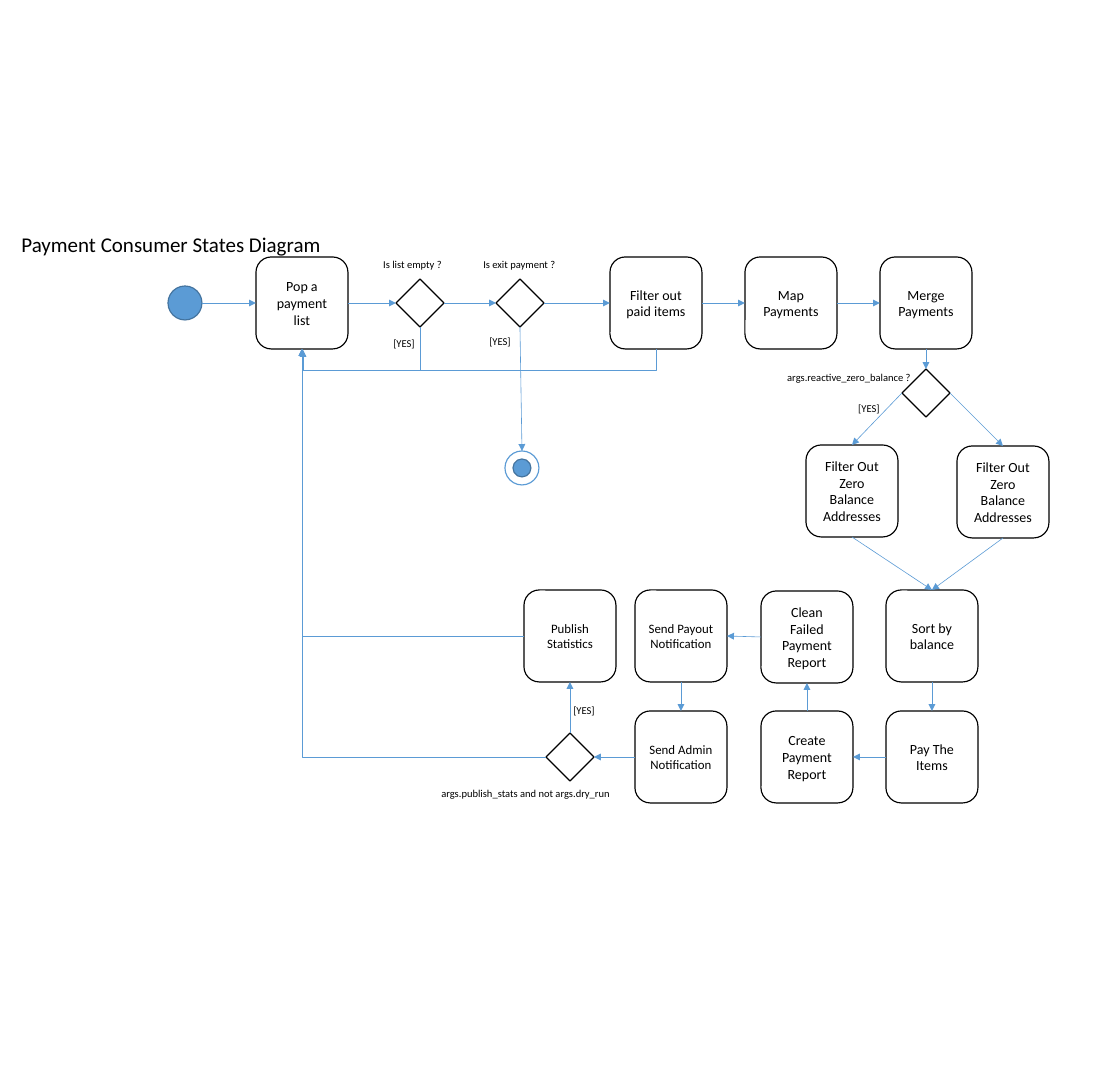
from lxml.etree import SubElement
from pptx import Presentation
from pptx.dml.color import RGBColor
from pptx.enum.shapes import MSO_CONNECTOR, MSO_SHAPE
from pptx.enum.text import MSO_ANCHOR, MSO_AUTO_SIZE, PP_ALIGN
from pptx.oxml.ns import qn
from pptx.util import Emu, Pt

SCALE = 914400 / 84
BOX, DIAMOND, CIRCLE, DOT = 92, 48, 34, 18
TOP, LEFT, BOTTOM, RIGHT = range(4)
BLUE, NAVY, BLACK, WHITE = "5B9BD5", "43739E", "000000", "FFFFFF"

STATES = {
    "pop": (256, 257, "Pop a payment list", 12),
    "paid": (610, 257, "Filter out paid items", 12),
    "map": (745, 257, "Map Payments", 12),
    "merge": (880, 257, "Merge Payments", 12),
    "zero_right": (957, 446, "Filter Out Zero Balance Addresses", 12),
    "zero_left": (806, 445, "Filter Out Zero Balance Addresses", 12),
    "sort": (886, 590, "Sort by balance", 12),
    "pay": (886, 711, "Pay The Items", 12),
    "create": (761, 711, "Create Payment Report", 12),
    "clean": (761, 591, "Clean Failed Payment Report", 12),
    "payout": (635, 590, "Send Payout Notification", 11),
    "admin": (635, 711, "Send Admin Notification", 11),
    "publish": (524, 590, "Publish Statistics", 11),
}
DECISIONS = {
    "empty": (396, 279),
    "exit": (496, 279),
    "reactive": (902, 369),
    "stats": (546, 733),
}
LABELS = [
    (375, 254, 76, "Is list empty ?"),
    (475, 254, 90, "Is exit payment ?"),
    (779, 367, 142, "args.reactive_zero_balance ?"),
    (433, 783, 187, "args.publish_stats and not args.dry_run"),
    (481, 331, 39, "[YES]"),
    (385, 333, 39, "[YES]"),
    (850, 398, 39, "[YES]"),
    (565, 700, 39, "[YES]"),
]
FLOWS = [
    ("pop", RIGHT, "empty", LEFT),
    ("empty", RIGHT, "exit", LEFT),
    ("exit", BOTTOM, "end", TOP),
    ("exit", RIGHT, "paid", LEFT),
    ("paid", RIGHT, "map", LEFT),
    ("map", RIGHT, "merge", LEFT),
    ("merge", BOTTOM, "reactive", TOP),
    ("reactive", RIGHT, "zero_right", TOP),
    ("reactive", LEFT, "zero_left", TOP),
    ("zero_left", BOTTOM, "sort", TOP),
    ("zero_right", BOTTOM, "sort", TOP),
    ("sort", BOTTOM, "pay", TOP),
    ("pay", LEFT, "create", RIGHT),
    ("create", TOP, "clean", BOTTOM),
    ("clean", LEFT, "payout", RIGHT),
    ("payout", BOTTOM, "admin", TOP),
    ("admin", LEFT, "stats", RIGHT),
    ("stats", TOP, "publish", BOTTOM),
]


def px(value):
    return Emu(round(value * SCALE))


def color(value):
    return RGBColor.from_string(value)


def assign(target, values):
    for name, value in values.items():
        setattr(target, name, value)


def write(box, text, size, align, **frame_format):
    frame = box.text_frame
    assign(frame, frame_format)
    para = frame.paragraphs[0]
    para.alignment = align
    span = para.add_run()
    span.text = text
    assign(span.font, {"name": "Calibri", "size": Pt(size)})
    span.font.color.rgb = color(BLACK)


def add_node(page, kind, left, top, size, fill=WHITE, line=BLACK):
    node = page.shapes.add_shape(kind, px(left), px(top), px(size), px(size))
    node.shadow.inherit = False
    node.fill.solid()
    node.fill.fore_color.rgb = color(fill)
    node.line.color.rgb = color(line)
    node.line.width = Pt(1)
    return node


def add_state(page, left, top, text, size):
    state = add_node(page, MSO_SHAPE.ROUNDED_RECTANGLE, left, top, BOX)
    write(state, text, size, PP_ALIGN.CENTER,
          word_wrap=True, vertical_anchor=MSO_ANCHOR.MIDDLE)
    return state


def add_label(page, left, top, width, text):
    label = page.shapes.add_textbox(px(left), px(top), px(width), px(21))
    write(label, text, 9, PP_ALIGN.LEFT,
          word_wrap=False, auto_size=MSO_AUTO_SIZE.SHAPE_TO_FIT_TEXT)


def add_arrow(page, kind=MSO_CONNECTOR.STRAIGHT, ends=(0, 0, 0, 0)):
    arrow = page.shapes.add_connector(kind, *map(px, ends))
    arrow.line.color.rgb = color(BLUE)
    arrow.line.width = Pt(0.5)
    SubElement(arrow.line._get_or_add_ln(), qn("a:tailEnd"), type="triangle")
    SubElement(arrow._element.spPr, qn("a:effectLst"))
    return arrow


def add_flow(page, nodes, source, source_side, target, target_side):
    arrow = add_arrow(page)
    arrow.begin_connect(nodes[source], source_side)
    arrow.end_connect(nodes[target], target_side)


def add_elbow(page, preset, left, top, width, height, turn, bend=None):
    elbow = add_arrow(page, MSO_CONNECTOR.ELBOW,
                      (left, top, left + width, top + height))
    properties = elbow._element.spPr
    properties.find(qn("a:xfrm")).set("rot", str(turn * 60000))
    geometry = properties.find(qn("a:prstGeom"))
    geometry.set("prst", preset)
    if bend is not None:
        SubElement(geometry.find(qn("a:avLst")), qn("a:gd"),
                   name="adj1", fmla=f"val {round(bend * 100000)}")


def add_dip(page, start_x, start_y, end_x, end_y, floor):
    width, height = end_y - start_y, start_x - end_x
    left = (start_x + end_x - width) / 2
    top = (start_y + end_y - height) / 2
    add_elbow(page, "bentConnector3", left, top, width, height, 90,
              (floor - start_y) / width)


def add_return(page, start_x, start_y, end_x, end_y):
    add_elbow(page, "bentConnector2", end_x, end_y,
              start_x - end_x, start_y - end_y, 180)


def add_title(page, text):
    title = page.shapes.title
    assign(title, {"left": px(13), "top": px(227),
                   "width": px(319), "height": px(34)})
    write(title, text, 18, PP_ALIGN.LEFT, word_wrap=False,
          auto_size=MSO_AUTO_SIZE.NONE, vertical_anchor=MSO_ANCHOR.TOP)


def main():
    deck = Presentation()
    assign(deck, {"slide_width": px(1120), "slide_height": px(1092)})
    page = deck.slides.add_slide(deck.slide_layouts[5])
    add_title(page, "Payment Consumer States Diagram")

    add_node(page, MSO_SHAPE.OVAL, 168, 286, CIRCLE, BLUE, NAVY)
    nodes = {"end": add_node(page, MSO_SHAPE.OVAL, 505, 451, CIRCLE, WHITE, BLUE)}
    add_node(page, MSO_SHAPE.OVAL, 513, 459, DOT, BLUE, NAVY)
    for name, state in STATES.items():
        nodes[name] = add_state(page, *state)
    for name, (left, top) in DECISIONS.items():
        nodes[name] = add_node(page, MSO_SHAPE.DIAMOND, left, top, DIAMOND)

    add_arrow(page, ends=(202, 303, 256, 303))
    for flow in FLOWS:
        add_flow(page, nodes, *flow)
    add_dip(page, 656, 349, 303, 350, 370)
    add_dip(page, 420, 327, 302, 349, 370)
    add_return(page, 524, 636, 302, 349)
    add_return(page, 546, 757, 302, 349)
    for label in LABELS:
        add_label(page, *label)
    deck.save("out.pptx")


main()
